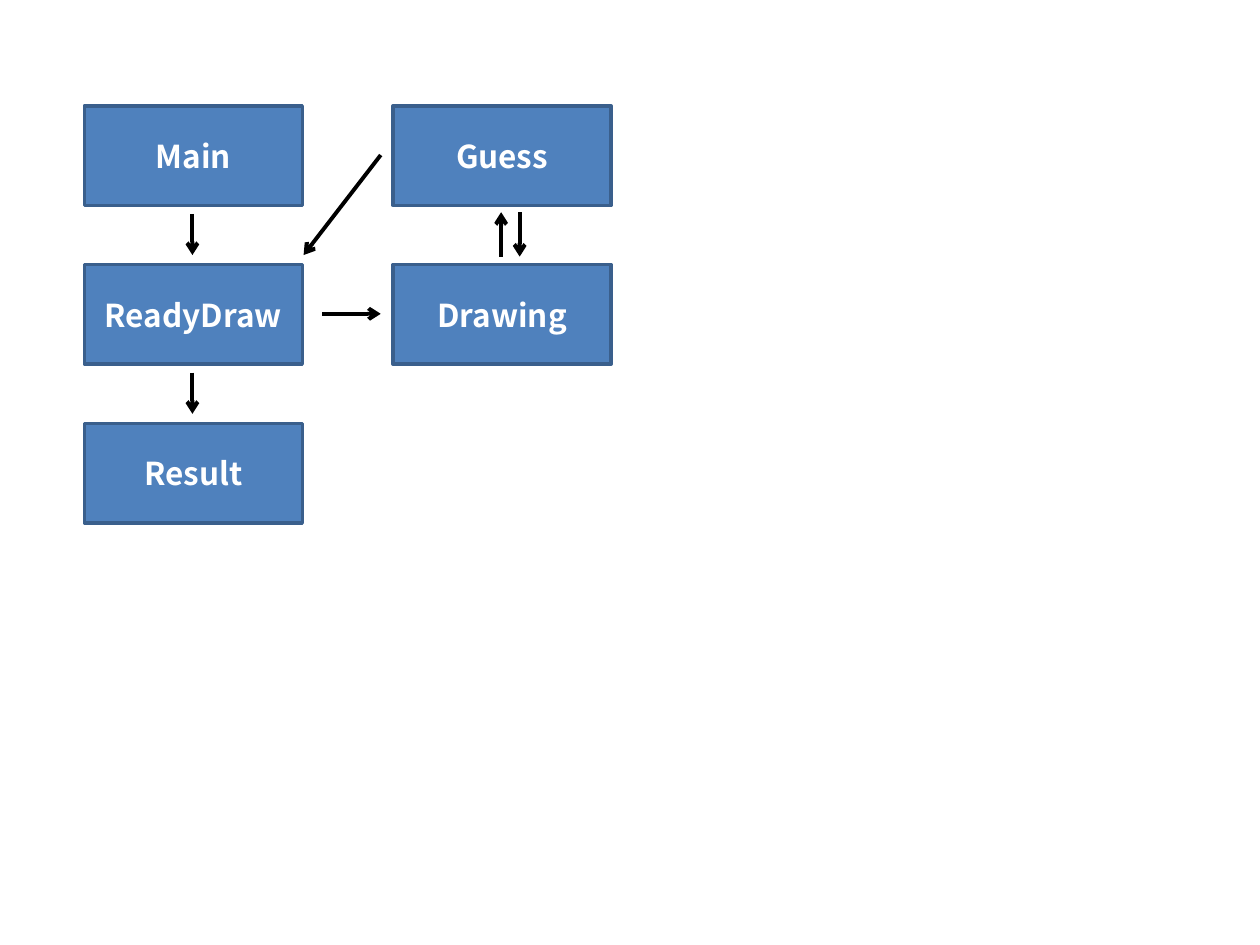
from pptx import Presentation
from pptx.dml.color import RGBColor
from pptx.enum.shapes import MSO_CONNECTOR, MSO_SHAPE
from pptx.enum.text import MSO_ANCHOR, PP_ALIGN
from pptx.oxml.ns import qn
from pptx.util import Inches, Pt
from lxml.etree import SubElement

COLORS = {"state": "4F81BD", "border": "3A5F8C", "label": "FFFFFF", "arrow": "000000"}
LABEL_FORMAT = {"name": "Noto Sans CJK KR", "size": Pt(18), "bold": True}

# Grid of the flow, in inches: distance between states and size of one state
COLUMN, ROW = 2.45, 1.26
STATE_WIDTH, STATE_HEIGHT = 1.73, 0.79

# State name: (column, row)
STATES = {
    "Main": (0, 0),
    "Drawing": (1, 1),
    "Guess": (1, 0),
    "ReadyDraw": (0, 1),
    "Result": (0, 2),
}

# Start and end of each transition, in columns and rows
TRANSITIONS = [
    ((0.35, 0.68), (0.35, 0.94)),  # Main to ReadyDraw
    ((0.77, 1.31), (0.96, 1.31)),  # ReadyDraw to Drawing
    ((1.35, 0.95), (1.35, 0.67)),  # Drawing to Guess
    ((0.96, 0.31), (0.71, 0.94)),  # Guess to ReadyDraw
    ((0.35, 1.68), (0.35, 1.94)),  # ReadyDraw to Result
    ((1.41, 0.67), (1.41, 0.95)),  # Guess to Drawing
]


def rgb(part):
    return RGBColor.from_string(COLORS[part])


def add_state(slide, name, left, top):
    state = slide.shapes.add_shape(
        MSO_SHAPE.RECTANGLE, left, top, Inches(STATE_WIDTH), Inches(STATE_HEIGHT))
    state.shadow.inherit = False
    state.fill.solid()
    state.fill.fore_color.rgb = rgb("state")
    state.line.color.rgb = rgb("border")
    state.line.width = Pt(2)
    state.text_frame.vertical_anchor = MSO_ANCHOR.MIDDLE
    label = state.text_frame.paragraphs[0]
    label.alignment = PP_ALIGN.CENTER
    run = label.add_run()
    run.text = name
    for attribute, value in LABEL_FORMAT.items():
        setattr(run.font, attribute, value)
    run.font.color.rgb = rgb("label")


def add_transition(slide, start, end):
    arrow = slide.shapes.add_connector(MSO_CONNECTOR.STRAIGHT, *start, *end)
    arrow.line.color.rgb = rgb("arrow")
    arrow.line.width = Pt(2.25)
    SubElement(arrow.line._get_or_add_ln(), qn("a:tailEnd"), type="arrow")
    SubElement(arrow._element.spPr, qn("a:effectLst"))


def add_state_flow(slide, left, top):
    """Place the states and their transitions on a grid that starts at left, top."""
    def at(column, row):
        return Inches(left + column * COLUMN), Inches(top + row * ROW)

    for name, cell in STATES.items():
        add_state(slide, name, *at(*cell))
    for start, end in TRANSITIONS:
        add_transition(slide, at(*start), at(*end))


def main():
    presentation = Presentation()
    presentation.slide_width, presentation.slide_height = Inches(10), Inches(7.5)
    slide = presentation.slides.add_slide(presentation.slide_layouts[6])
    add_state_flow(slide, left=0.67, top=0.84)
    presentation.save("out.pptx")


if __name__ == "__main__":
    main()
